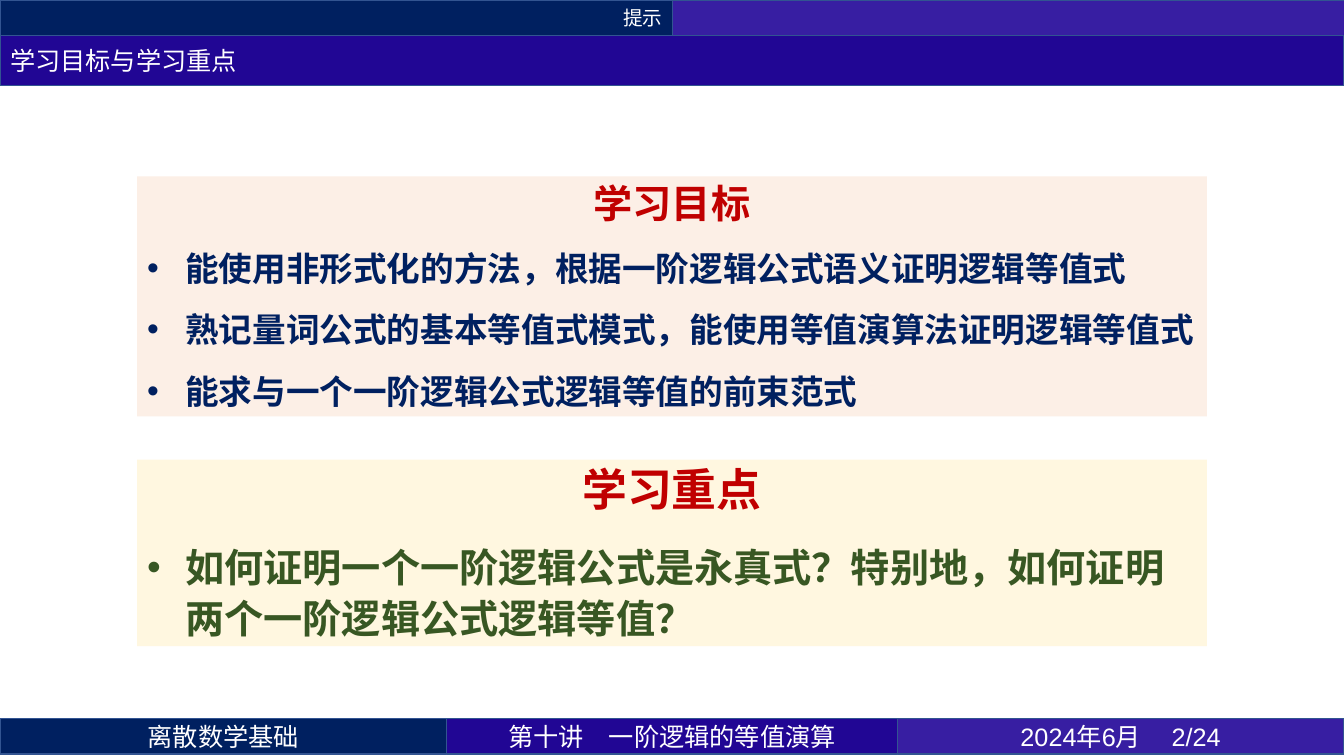
from lxml import etree
from pptx import Presentation
from pptx.dml.color import RGBColor
from pptx.enum import shapes, text
from pptx.oxml import ns
from pptx.util import Inches, Pt

THEME = {
    "cjk": "Noto Sans CJK SC", "latin": "Arial",
    "navy": "002060", "indigo": "210694", "violet": "371EA2",
    "edge": "325491", "white": "FFFFFF", "red": "C00000", "green": "385723",
    "peach": "FBE5D6", "cream": "FFF2CC",
    "tag": 14, "bar": 18,
}
LEFT, CENTER, RIGHT = text.PP_ALIGN.LEFT, text.PP_ALIGN.CENTER, text.PP_ALIGN.RIGHT
W, H = 13.33, 7.5
THIN, TITLE_H, FOOT_TOP = 0.35, 0.5, 7.13

TITLE = "学习目标与学习重点"
HEADER = [
    ("提示", 6.67, "navy", RIGHT, "cjk"),
    ("", 6.67, "violet", LEFT, "cjk"),
]
FOOTER = [
    ("离散数学基础", 4.43, "navy", CENTER, "cjk"),
    ("第十讲\t一阶逻辑的等值演算", 4.47, "indigo", CENTER, "cjk"),
    ("2024年6月 \t2/24", 4.43, "violet", CENTER, "latin"),
]
PANELS = [
    {"heading": "学习目标",
     "points": ["能使用非形式化的方法，根据一阶逻辑公式语义证明逻辑等值式",
                "熟记量词公式的基本等值式模式，能使用等值演算法证明逻辑等值式",
                "能求与一个一阶逻辑公式逻辑等值的前束范式"],
     "top": 1.75, "height": 2.38, "fill": "peach", "color": "navy",
     "sizes": (28, 24), "line": 32, "before": 6},
    {"heading": "学习重点",
     "points": ["如何证明一个一阶逻辑公式是永真式？特别地，如何证明两个一阶逻辑公式逻辑等值？"],
     "top": 4.56, "height": 1.85, "fill": "cream", "color": "green",
     "sizes": (32, 28), "line": 36, "before": 12},
]
PANEL_W = 10.61
PANEL_X = (W - PANEL_W) / 2


def rgb(name):
    return RGBColor.from_string(THEME[name])


def style(p, size, color, font="cjk", bold=False):
    for r in p.runs:
        r.font.size = Pt(size)
        r.font.bold = bold
        r.font.color.rgb = rgb(color)
        r.font.name = THEME[font]
        ea = etree.SubElement(r.font._element, ns.qn("a:ea"))
        ea.set("typeface", THEME["cjk"])


def format_bar(sp, label, fill, align, size, font="cjk"):
    sp.fill.solid()
    sp.fill.fore_color.rgb = rgb(fill)
    sp.line.color.rgb = rgb("edge")
    sp.line.width = Pt(1)
    tf = sp.text_frame
    tf.text = label
    tf.word_wrap = True
    tf.auto_size = text.MSO_AUTO_SIZE.NONE
    tf.vertical_anchor = text.MSO_ANCHOR.MIDDLE
    p = tf.paragraphs[0]
    p.alignment = align
    style(p, size, "white", font)


def add_bars(s, bars, top, size):
    x = 0
    for label, width, fill, align, font in bars:
        sp = s.shapes.add_shape(shapes.MSO_SHAPE.RECTANGLE, Inches(x), Inches(top),
                                Inches(width), Inches(THIN))
        sp.shadow.inherit = False
        format_bar(sp, label, fill, align, size, font)
        x += width


def add_bullet(p):
    pPr = p._p.get_or_add_pPr()
    pPr.set("marL", str(Inches(0.38)))
    pPr.set("indent", str(-Inches(0.38)))
    etree.SubElement(pPr, ns.qn("a:buFont")).set("typeface", THEME["latin"])
    etree.SubElement(pPr, ns.qn("a:buChar")).set("char", "•")


def add_panel(s, panel):
    sp = s.shapes.add_textbox(Inches(PANEL_X), Inches(panel["top"]),
                              Inches(PANEL_W), Inches(panel["height"]))
    sp.fill.solid()
    sp.fill.fore_color.rgb = rgb(panel["fill"])
    color = sp._element.spPr.find(".//" + ns.qn("a:srgbClr"))
    etree.SubElement(color, ns.qn("a:alpha")).set("val", "60000")
    tf = sp.text_frame
    tf.word_wrap = True
    tf.auto_size = text.MSO_AUTO_SIZE.SHAPE_TO_FIT_TEXT
    heading_size, point_size = panel["sizes"]
    for i, line in enumerate([panel["heading"], *panel["points"]]):
        p = tf.add_paragraph() if i else tf.paragraphs[0]
        p.text = line
        if i:
            add_bullet(p)
            style(p, point_size, panel["color"], "latin", True)
        else:
            p.alignment = CENTER
            style(p, heading_size, "red", "cjk", True)
        p.line_spacing = Pt(panel["line"])
        p.space_before = Pt(panel["before"] if i else 0)
        p.space_after = Pt(6)


def main():
    prs = Presentation()
    prs.slide_width, prs.slide_height = Inches(W), Inches(H)
    s = prs.slides.add_slide(prs.slide_layouts[5])
    add_bars(s, HEADER, 0, THEME["tag"])
    add_bars(s, FOOTER, FOOT_TOP, THEME["bar"])
    title = s.shapes.title
    title.left, title.top = Inches(0), Inches(THIN)
    title.width, title.height = Inches(W), Inches(TITLE_H)
    format_bar(title, TITLE, "indigo", LEFT, THEME["bar"])
    for panel in PANELS:
        add_panel(s, panel)
    prs.save("out.pptx")


if __name__ == "__main__":
    main()
